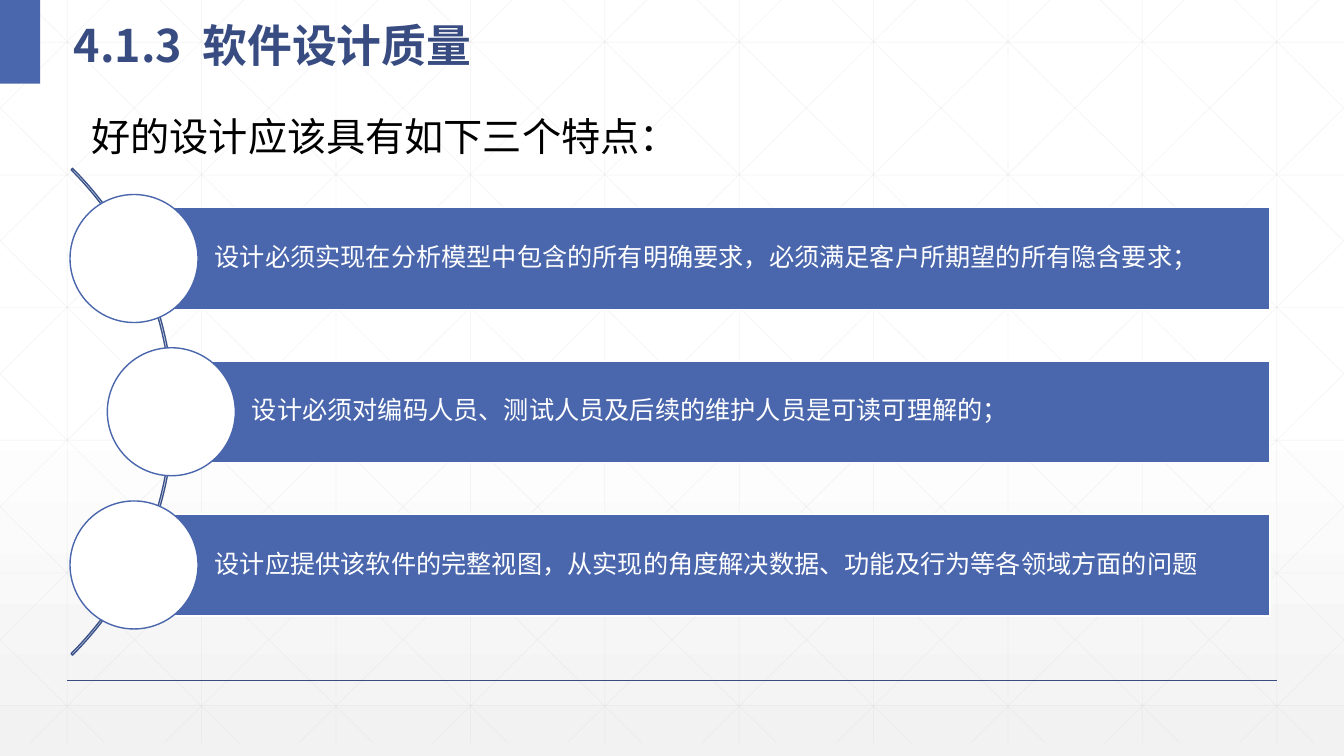
import pptx
import pptx.dml.color
import pptx.enum.shapes
import pptx.enum.text
import pptx.oxml.ns
import pptx.util
import lxml.etree

WIDTH, HEIGHT = 13.333, 7.5
BLUE, NAVY, WHITE = "4A66AC", "384C81", "FFFFFF"
CJK_FONT = "Noto Sans CJK SC"
SHAPE = pptx.enum.shapes.MSO_SHAPE
MIDDLE = pptx.enum.text.MSO_ANCHOR.MIDDLE
LEFT = pptx.enum.text.PP_ALIGN.LEFT
inch = pptx.util.Inches

FEATURES = [
    (0, "设计必须实现在分析模型中包含的所有明确要求，必须满足客户所期望的所有隐含要求；"),
    (0.37, "设计必须对编码人员、测试人员及后续的维护人员是可读可理解的；"),
    (0, "设计应提供该软件的完整视图，从实现的角度解决数据、功能及行为等各领域方面的问题"),
]


def rgb(value):
    return pptx.dml.color.RGBColor.from_string(value)


def add_tag(parent, name, **attributes):
    return lxml.etree.SubElement(parent, pptx.oxml.ns.qn(name), **attributes)


def style_run(run, size, color, font="Arial", bold=False):
    run.font.size = pptx.util.Pt(size)
    run.font.bold = bold
    run.font.color.rgb = rgb(color)
    run.font.name = font
    add_tag(run.font._element, "a:ea", typeface=CJK_FONT)


def add_rule(slide, start, end, color, weight, opacity=100):
    rule = slide.shapes.add_connector(
        pptx.enum.shapes.MSO_CONNECTOR.STRAIGHT, *map(inch, start + end))
    rule.line.color.rgb = rgb(color)
    rule.line.width = pptx.util.Pt(weight)
    if opacity < 100:
        tint = rule.line._ln.find(".//" + pptx.oxml.ns.qn("a:srgbClr"))
        add_tag(tint, "a:alpha", val=str(opacity * 1000))
    add_tag(rule._element.spPr, "a:effectLst")


def add_block(slide, kind, box, fill=None, outline=None):
    block = slide.shapes.add_shape(kind, *map(inch, box))
    block.shadow.inherit = False
    if fill:
        block.fill.solid()
        block.fill.fore_color.rgb = rgb(fill)
    else:
        block.fill.background()
    if outline:
        block.line.color.rgb = rgb(outline)
        block.line.width = pptx.util.Pt(1)
    else:
        block.line.fill.background()
    return block


def draw_backdrop(slide, width, height):
    """Fade to grey under a lattice of upright, level and diagonal lines."""
    backdrop = slide.background.fill
    backdrop.gradient()
    backdrop.gradient_angle = 270
    for stop, (position, color) in zip(
            backdrop.gradient_stops, [(0.53, WHITE), (1, "F2F2F2")]):
        stop.position = position
        stop.color.rgb = rgb(color)

    bottom, column, row = 7.37, width / 10, 1.316
    slope = 0.989
    lines = [((x, 0), (x, bottom)) for x in ((i + 0.5) * column for i in range(10))]
    lines += [((0, y), (width, y)) for y in (0.42 + i * row for i in range(6))]
    for i in range(-5, 10):
        top_x = 0.25 + i * column
        x1, x2 = max(top_x, 0), min(top_x + bottom / slope, width)
        y1, y2 = (x1 - top_x) * slope, (x2 - top_x) * slope
        lines += [((x1, y1), (x2, y2)), ((width - x1, y1), (width - x2, y2))]
    for start, end in lines:
        add_rule(slide, start, end, "D9D9D9", 0.5, 25)


def draw_title(slide, box):
    left, top, width, height = box
    add_block(slide, SHAPE.RECTANGLE, (0, 0, 0.4, 0.83), BLUE)
    title = slide.shapes.title
    slide.shapes._spTree.append(title._element)
    title.left, title.top = inch(left), inch(top)
    title.width, title.height = inch(width), inch(height)
    frame = title.text_frame
    frame.auto_size = pptx.enum.text.MSO_AUTO_SIZE.NONE
    frame.vertical_anchor = MIDDLE
    heading = frame.paragraphs[0]
    heading.alignment = LEFT
    heading.line_spacing = 1.3
    for part in ("4.1.3", " ", "软件设计质量"):
        run = heading.add_run()
        run.text = part
        style_run(run, 32, NAVY, CJK_FONT, True)
    heading.runs[1].font._element.set("spc", "720")  # wider gap after the number


def draw_lead(slide, box):
    lead = slide.shapes.add_textbox(*map(inch, box)).text_frame
    lead.word_wrap = False
    lead.text = "好的设计应该具有如下三个特点："
    lead.paragraphs[0].alignment = LEFT
    style_run(lead.paragraphs[0].runs[0], 28, "000000")


def draw_feature(slide, box, text):
    """A bar with a circle centred on its left edge."""
    left, top, width, height = box
    diameter = 1.27
    bar = add_block(slide, SHAPE.RECTANGLE, box, BLUE, WHITE)
    frame = bar.text_frame
    frame.word_wrap = True
    frame.vertical_anchor = MIDDLE
    frame.margin_left = inch(0.8)
    frame.margin_right = frame.margin_top = frame.margin_bottom = inch(0.05)
    frame.text = text
    frame.paragraphs[0].alignment = LEFT
    frame.paragraphs[0].line_spacing = 0.9
    style_run(frame.paragraphs[0].runs[0], 18, WHITE)
    add_block(slide, SHAPE.OVAL,
              (left - diameter / 2, top + (height - diameter) / 2, diameter, diameter),
              WHITE, BLUE)


def draw_features(slide, box):
    """Bars evenly spaced down the box, their circles strung on an arc."""
    left, top, width, height = box
    bar_height, arc_size = 1.01, 6.83
    arc = add_block(slide, SHAPE.BLOCK_ARC,
                    (left - 6.44, top + (height - arc_size) / 2, arc_size, arc_size),
                    outline="3B528A")
    for i, value in enumerate((189, 27, 0.003)):
        arc.adjustments[i] = value
    pitch = (height - bar_height) / (len(FEATURES) - 1)
    for i, (indent, text) in enumerate(FEATURES):
        draw_feature(slide, (left + indent, top + i * pitch, width - indent, bar_height), text)


def main():
    deck = pptx.Presentation()
    deck.slide_width, deck.slide_height = inch(WIDTH), inch(HEIGHT)
    slide = deck.slides.add_slide(deck.slide_layouts[5])
    draw_backdrop(slide, WIDTH, HEIGHT)
    add_rule(slide, (0.05 * WIDTH, 0.9 * HEIGHT), (0.95 * WIDTH, 0.9 * HEIGHT), NAVY, 1)
    draw_title(slide, (0.63, 0, 7.55, 0.73))
    draw_features(slide, (1.33, 2.06, 11.27, 4.05))
    draw_lead(slide, (0.81, 1.07, 6.03, 0.56))
    deck.save("out.pptx")


if __name__ == "__main__":
    main()
